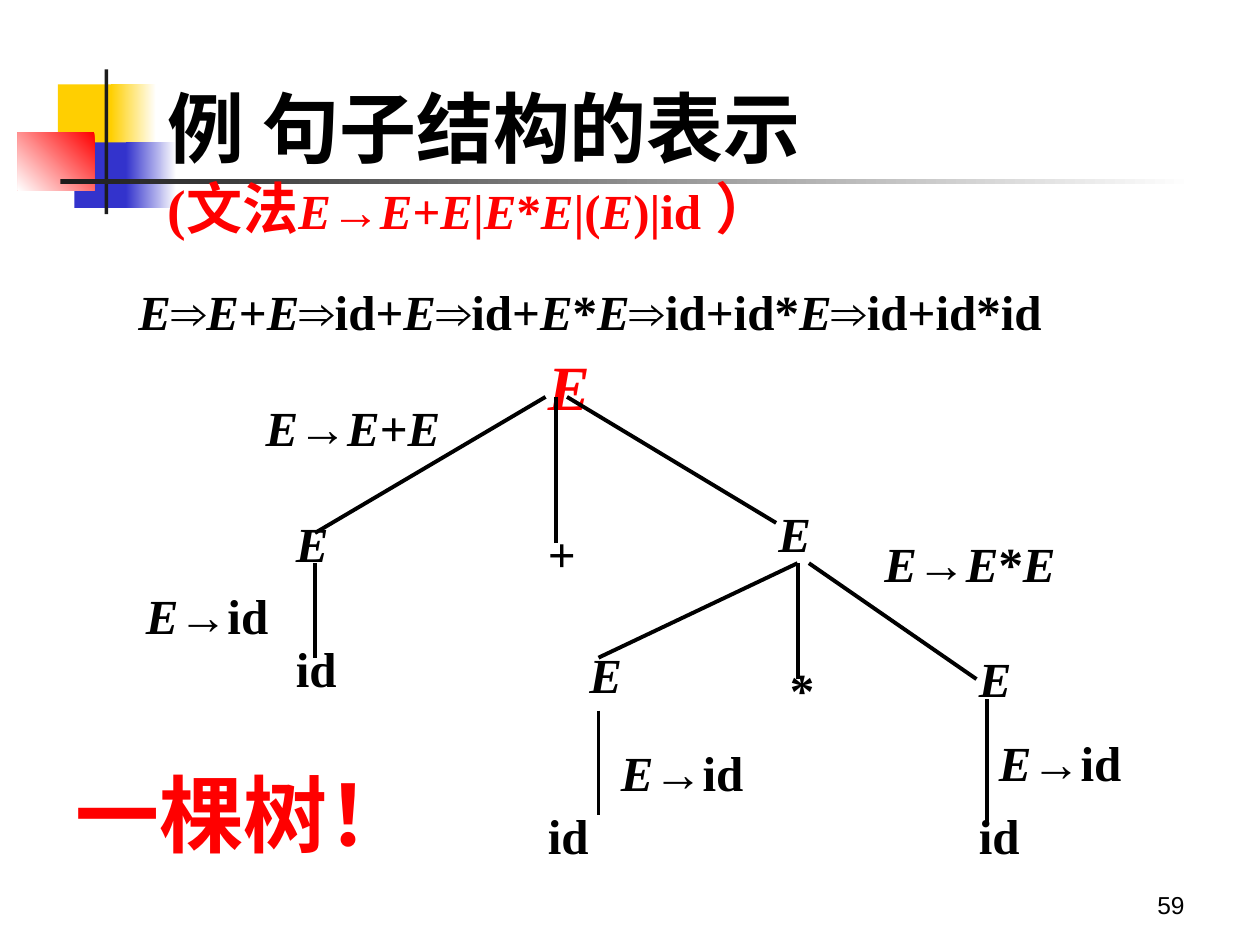
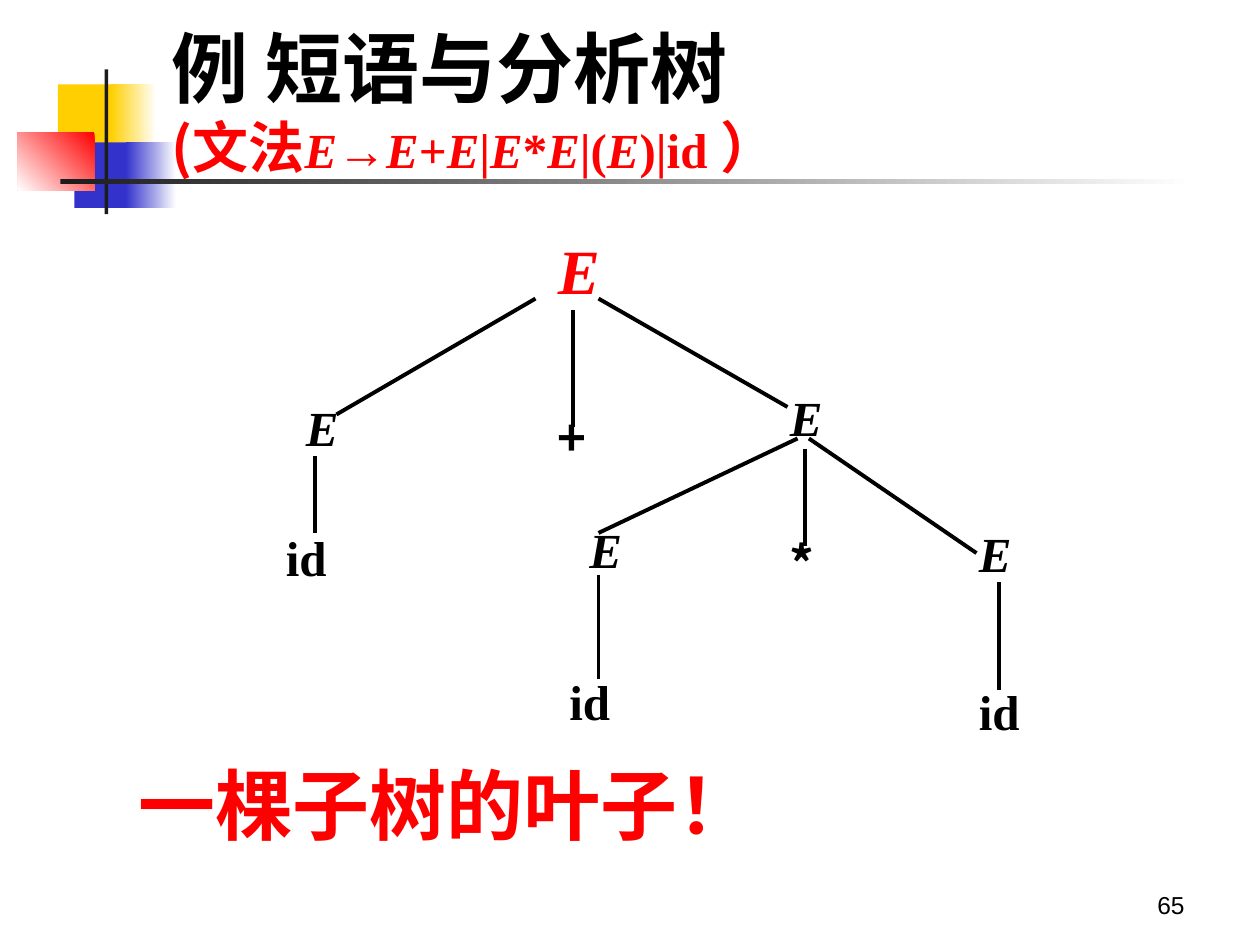
from itertools import groupby

from lxml import etree
from pptx import Presentation
from pptx.dml.color import RGBColor
from pptx.enum import shapes, text
from pptx.oxml.ns import qn
from pptx.util import Inches, Pt

HUES = {"ink": "000000", "red": "FF0000", "gold": "FFCF01",
        "blue": "3333CC", "dark": "1C1C1C", "white": "FFFFFF"}
SERIF, HAN, SANS = "Times New Roman", "Noto Sans CJK SC", "Arial"
RULES = "E→E+E|E*E|(E)|id"

# Left, top, width, height, colour, fade angle (None is solid)
BANDS = [
    (0.46, 0.67, 0.48, 0.52, "gold", None),
    (0.88, 0.67, 0.36, 0.52, "gold", 0),
    (0.59, 1.13, 0.46, 0.52, "blue", None),
    (1, 1.13, 0.4, 0.52, "blue", 0),
    (0.14, 1.05, 0.61, 0.46, "red", 225),
    (0.83, 0.55, 0.03, 1.15, "dark", None),
    (0.48, 1.42, 9, 0.04, "dark", 0),
]


def hue(name):
    return RGBColor.from_string(HUES[name])


class Deck:
    def __init__(self):
        self.prs = Presentation()
        self.prs.slide_width = Inches(10)
        self.prs.slide_height = Inches(7.5)
        self.slide = None

    def page(self, number):
        """Start a slide with its bands and page number."""
        self.slide = self.prs.slides.add_slide(self.prs.slide_layouts[5])
        for band in BANDS:
            self.band(*band)
        frame = self.box(7.17, 6.83, 2.33, 0.52)
        frame.vertical_anchor = text.MSO_ANCHOR.BOTTOM
        para = frame.paragraphs[0]
        para.alignment = text.PP_ALIGN.RIGHT
        self.run(para, str(number), 14, font=SANS, bold=False)

    def band(self, x, y, w, h, color, angle):
        shape = self.slide.shapes.add_shape(
            shapes.MSO_SHAPE.RECTANGLE, Inches(x), Inches(y), Inches(w), Inches(h))
        shape.shadow.inherit = False
        shape.line.fill.background()
        fill = shape.fill
        if angle is None:
            fill.solid()
            fill.fore_color.rgb = hue(color)
            return
        fill.gradient()
        fill.gradient_angle = angle
        for stop, name in zip(fill.gradient_stops, (color, "white")):
            stop.color.rgb = hue(name)

    def box(self, x, y, w, h):
        shape = self.slide.shapes.add_textbox(
            Inches(x), Inches(y), Inches(w), Inches(h))
        shape.text_frame.word_wrap = True
        return shape.text_frame

    def run(self, para, words, size, color="ink", font=SERIF, bold=True, italic=False):
        run = para.add_run()
        run.text = words
        style = run.font
        style.size, style.bold, style.italic = Pt(size), bold, italic
        style.color.rgb = hue(color)
        style.name = font
        etree.SubElement(run._r.get_or_add_rPr(), qn("a:ea"), typeface=HAN)

    def rule(self, para, words, size=28, color="ink", font=SERIF):
        """Write a formula: E is italic, and ⇒ is set in sans."""
        for kind, part in groupby(words, lambda c: c if c in "E⇒" else ""):
            self.run(para, "".join(part), size, color,
                     SANS if kind == "⇒" else font, italic=kind == "E")

    def title(self, words, x, y, w, h, font):
        """Set the heading, with the grammar on its second line."""
        title = self.slide.shapes.title
        title.left, title.top = Inches(x), Inches(y)
        title.width, title.height = Inches(w), Inches(h)
        tree = title._element.getparent()
        tree.append(title._element)
        frame = title.text_frame
        frame.auto_size = text.MSO_AUTO_SIZE.NONE
        frame.word_wrap = True
        frame.vertical_anchor = text.MSO_ANCHOR.MIDDLE
        para = frame.paragraphs[0]
        para.alignment = text.PP_ALIGN.LEFT
        self.run(para, words, 44)
        para.add_line_break()
        self.run(para, "(文法", 32, "red", font)
        self.rule(para, RULES, color="red")
        self.run(para, " ）", 32, "red", font)

    def label(self, words, x, y, w=1.25, size=28, color="ink", font=SERIF):
        frame = self.box(x, y, w, round(size * 0.021 + 0.02, 2))
        frame.auto_size = text.MSO_AUTO_SIZE.SHAPE_TO_FIT_TEXT
        para = frame.paragraphs[0]
        para.line_spacing = 1.1
        self.rule(para, words, size, color, font)

    def edge(self, x1, y1, x2, y2):
        line = self.slide.shapes.add_connector(
            shapes.MSO_CONNECTOR.STRAIGHT,
            Inches(x1), Inches(y1), Inches(x2), Inches(y2))
        line.line.color.rgb = hue("ink")
        line.line.width = Pt(2.25)
        etree.SubElement(line._element.spPr, qn("a:effectLst"))

    def tree(self, root, nodes, edges, font=SERIF):
        """Draw a parse tree; font is that of its operators."""
        self.label("E", *root, size=36, color="red")
        for words, x, y in nodes:
            self.label(words, x, y, font=font if words in "+*" else SERIF)
        for ends in edges:
            self.edge(*ends)


def derive(deck):
    deck.page(59)
    deck.title("例 句子结构的表示", 1.23, 0.69, 6.92, 1.17, SERIF)
    deck.tree(
        (4.25, 2.65),
        [("E", 2.25, 3.98), ("+", 4.25, 4.06), ("E", 6.08, 3.9),
         ("id", 2.25, 4.97), ("E", 4.58, 5.02), ("*", 6.17, 5.14),
         ("E", 7.67, 5.05), ("id", 4.25, 6.3), ("id", 7.67, 6.3)],
        [(2.5, 4.23, 4.33, 3.15), (4.41, 4.31, 4.41, 3.15),
         (6.16, 4.15, 4.5, 3.15), (2.5, 5.22, 2.5, 4.47),
         (4.75, 5.22, 6.33, 4.47), (6.33, 4.47, 6.33, 5.39),
         (6.42, 4.47, 7.75, 5.39), (4.75, 5.64, 4.75, 6.47),
         (7.83, 5.55, 7.83, 6.55)])
    for words, x, y, w in [("E→E+E", 2.01, 3.06, 1.74), ("E→id", 1.06, 4.55, 1.27),
                           ("E→E*E", 6.92, 4.14, 1.58), ("E→id", 4.83, 5.8, 1.35),
                           ("E→id", 7.83, 5.72, 1.25)]:
        deck.label(words, x, y, w)
    deck.label("E⇒E+E⇒id+E⇒id+E*E⇒id+id*E⇒id+id*id", 1, 2.14, 8.25)
    deck.label("一棵树！", 0.5, 5.92, 3, 48, "red")


def phrase(deck):
    deck.page(65)
    deck.title("例 短语与分析树", 1.26, 0.13, 6.5, 1.33, HAN)
    deck.tree(
        (4.33, 1.73),
        [("E", 2.33, 3.06), ("+", 4.33, 3.14), ("E", 6.17, 2.98),
         ("id", 2.17, 4.09), ("E", 4.58, 4.03), ("*", 6.17, 4.14),
         ("E", 7.67, 4.06), ("id", 4.42, 5.23), ("id", 7.67, 5.31)],
        [(2.67, 3.29, 4.25, 2.37), (4.55, 3.39, 4.55, 2.46),
         (6.25, 3.23, 4.75, 2.37), (2.5, 4.23, 2.5, 3.62),
         (4.75, 4.23, 6.33, 3.48), (6.39, 3.56, 6.39, 4.33),
         (6.42, 3.48, 7.75, 4.39), (4.75, 4.56, 4.75, 5.39),
         (7.93, 4.62, 7.93, 5.48)],
        HAN)
    deck.label("一棵子树的叶子！", 1, 5.89, 7.33, 44, "red", HAN)


def main():
    deck = Deck()
    derive(deck)
    phrase(deck)
    deck.prs.save("out.pptx")


if __name__ == "__main__":
    main()
